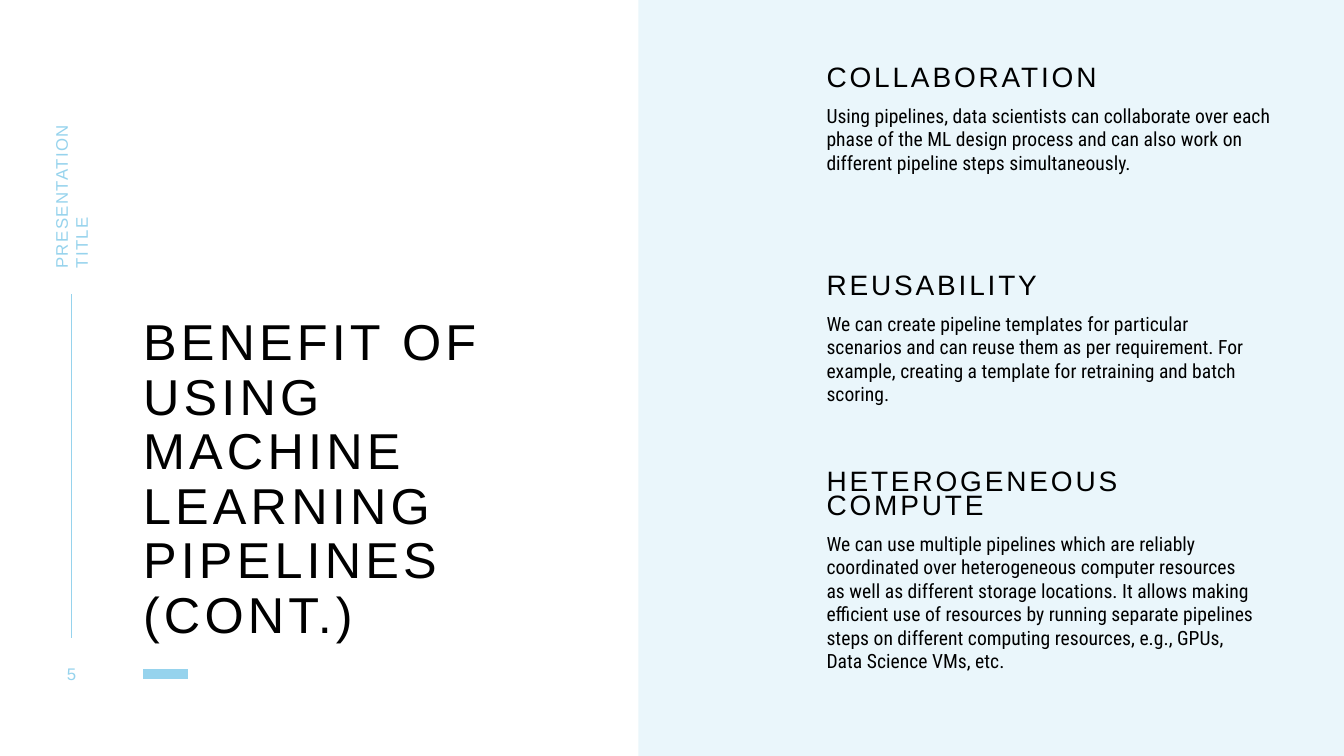
"""Build the slide on the benefits of machine learning pipelines."""
from lxml import etree
from pptx import Presentation
from pptx.dml.color import RGBColor
from pptx.enum import shapes, text
from pptx.oxml.ns import qn
from pptx.util import Pt

TITLE = "BENEFIT OF USING MACHINE LEARNING PIPELINES (CONT.)"
FOOTER = "PRESENTATION TITLE"
PAGE = "5"
BENEFITS = [
    ("COLLABORATION", 38.9, 343.4,
     "Using pipelines, data scientists can collaborate over each phase of the ML design "
     "process and can also work on different pipeline steps simultaneously."),
    ("REUSABILITY", 187.6, 306,
     "We can create pipeline templates for particular scenarios and can reuse them as per "
     "requirement. For example, creating a template for retraining and batch scoring."),
    ("HETEROGENEOUS COMPUTE", 344.6, 306,
     "We can use multiple pipelines which are reliably coordinated over heterogeneous "
     "computer resources as well as different storage locations. It allows making efficient "
     "use of resources by running separate pipelines steps on different computing resources, "
     "e.g., GPUs, Data Science VMs, etc."),
]
COLORS = {"ink": "000000", "accent": "96D3ED", "panel": "EAF6FB"}
WIDTH, HEIGHT = 960, 540
PANEL_LEFT = 456
BENEFIT_LEFT = 590.4
HEADING_WIDTH, HEADING_HEIGHT = 324, 27.4
DETAIL_OFFSET, DETAIL_HEIGHT = 35, 90
RULES = [((51.1, 210.2), (51.1, 455.8), 1), ((102.2, 481.3), (134.6, 481.3), 7)]


def write(holder, words, size, color="ink", font="Arial", spacing=0,
          anchor=text.MSO_ANCHOR.MIDDLE, line_spacing=None, align=text.PP_ALIGN.LEFT):
    """Fill a text holder with one formatted paragraph."""
    frame = holder.text_frame
    frame.word_wrap = True
    frame.auto_size = text.MSO_AUTO_SIZE.NONE
    frame.vertical_anchor = anchor
    frame.margin_left = frame.margin_right = frame.margin_top = frame.margin_bottom = 0
    paragraph = frame.paragraphs[0]
    paragraph.text = words
    paragraph.alignment = align
    paragraph.line_spacing = line_spacing
    paragraph.font.name = font
    paragraph.font.size = Pt(size)
    paragraph.font.color.rgb = RGBColor.from_string(COLORS[color])
    paragraph._p.pPr.find(qn("a:defRPr")).set("spc", str(spacing * 100))


def add_box(slide, left, top, width, height):
    """Add a text box measured in points."""
    return slide.shapes.add_textbox(Pt(left), Pt(top), Pt(width), Pt(height))


def add_heading(slide, top):
    """Add an unfilled outline that holds a benefit heading."""
    left, right = Pt(BENEFIT_LEFT), Pt(BENEFIT_LEFT + HEADING_WIDTH)
    upper, lower = Pt(top), Pt(top + HEADING_HEIGHT)
    builder = slide.shapes.build_freeform(left, upper)
    builder.add_line_segments([(right, upper), (right, lower), (left, lower)], close=True)
    heading = builder.convert_to_shape()
    heading.shadow.inherit = False
    heading.fill.background()
    heading.line.fill.background()
    return heading


def add_rule(slide, start, end, weight):
    """Draw an accent line between two points."""
    rule = slide.shapes.add_connector(
        shapes.MSO_CONNECTOR.STRAIGHT, *map(Pt, start), *map(Pt, end))
    rule.line.color.rgb = RGBColor.from_string(COLORS["accent"])
    rule.line.width = Pt(weight)
    etree.SubElement(rule._element.spPr, qn("a:effectLst"))


def main():
    """Lay out the slide and save it."""
    deck = Presentation()
    deck.slide_width, deck.slide_height = Pt(WIDTH), Pt(HEIGHT)
    slide = deck.slides.add_slide(deck.slide_layouts[5])

    panel = slide.shapes.add_shape(
        shapes.MSO_SHAPE.RECTANGLE, Pt(PANEL_LEFT), 0, Pt(WIDTH - PANEL_LEFT), Pt(HEIGHT))
    panel.shadow.inherit = False
    panel.fill.solid()
    panel.fill.fore_color.rgb = RGBColor.from_string(COLORS["panel"])
    panel.line.fill.background()
    for rule in RULES:
        add_rule(slide, *rule)

    title = slide.shapes.title
    title.left, title.top, title.width, title.height = map(Pt, (102.2, 316.1, 327.6, 144))
    write(title, TITLE, 36, spacing=3, anchor=text.MSO_ANCHOR.BOTTOM, line_spacing=0.9)

    footer = add_box(slide, -19.4, 114.1, 140.4, 15.1)
    footer.rotation = 270
    write(footer, FOOTER, 12, "accent", spacing=1)
    page = add_box(slide, 33.1, 473.8, 36, 14.4)
    write(page, PAGE, 12, "accent", spacing=2, align=text.PP_ALIGN.CENTER)

    for name, top, detail_width, explanation in BENEFITS:
        heading = add_heading(slide, top)
        write(heading, name, 20, spacing=2, anchor=text.MSO_ANCHOR.BOTTOM,
              line_spacing=Pt(17.2))
        detail = add_box(slide, BENEFIT_LEFT, top + DETAIL_OFFSET, detail_width, DETAIL_HEIGHT)
        write(detail, explanation, 14, font="Roboto Condensed", anchor=text.MSO_ANCHOR.TOP)

    deck.save("out.pptx")


if __name__ == "__main__":
    main()
